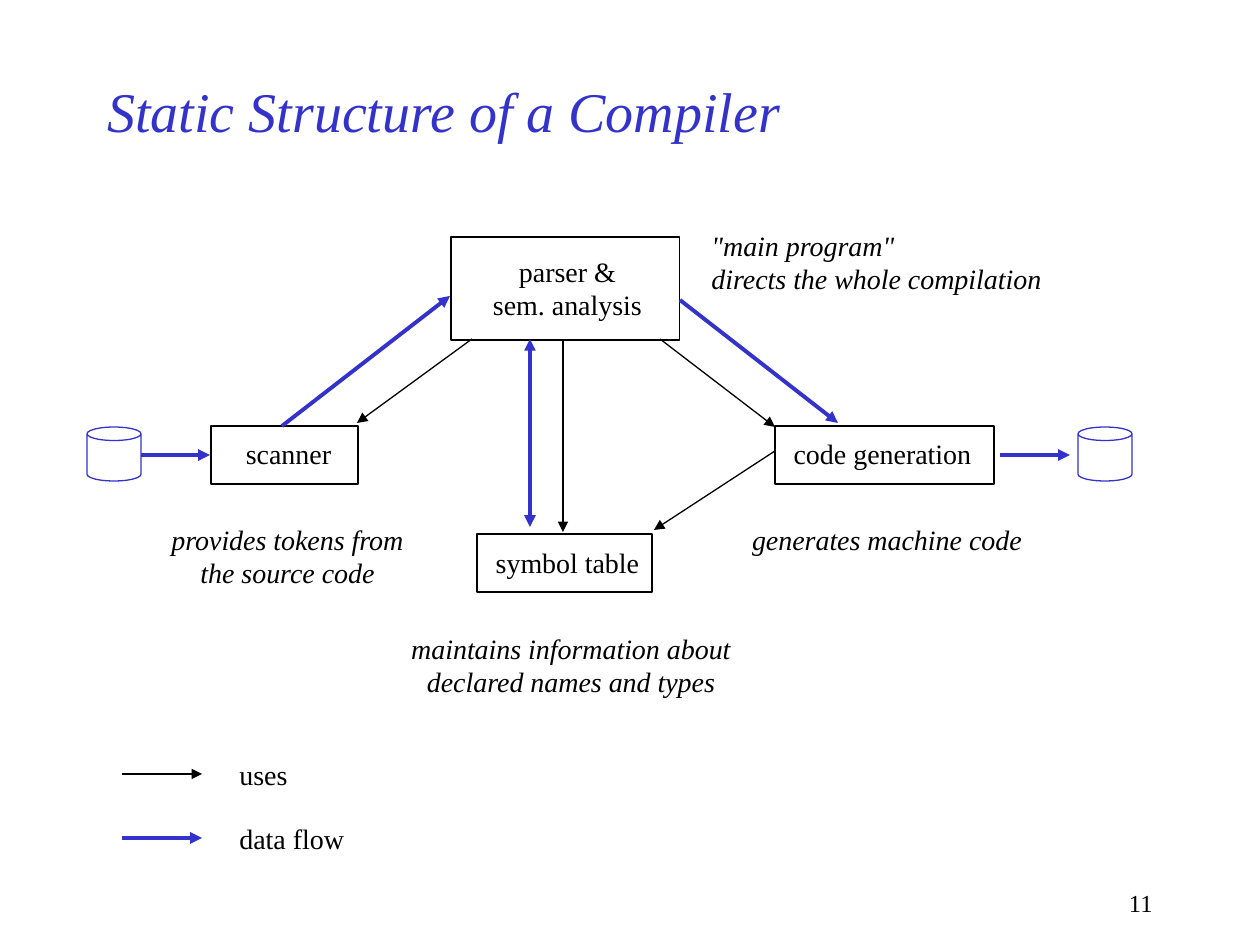
import pptx
import pptx.util
import pptx.dml.color
import pptx.enum.shapes
import pptx.enum.text
import pptx.oxml.ns
from lxml import etree

PX = 914400 // 126
FONT = "Times New Roman"
BLACK, BLUE = "000000", "3333CC"
ALIGN = pptx.enum.text.PP_ALIGN
ANCHOR = pptx.enum.text.MSO_ANCHOR
SHAPE = pptx.enum.shapes.MSO_SHAPE

USES = {"color": BLACK, "width": 0.75}
DATA_FLOW = {"color": BLUE, "width": 2.25}

TITLE = ("Static Structure of a Compiler", (95, 63, 945, 95))
PAGE_NUMBER = ("11", (903, 882, 262, 42))

# label lines, label box, frame
MODULES = [
    (["parser &", "sem. analysis"], (480, 248, 175, 81), (451, 237, 229, 103)),
    (["scanner"], (233, 430, 111, 47), (211, 426, 147, 58)),
    (["symbol table"], (483, 539, 169, 47), (477, 534, 175, 58)),
    (["code generation"], (781, 430, 203, 47), (775, 426, 219, 58)),
]

# lines, box, alignment
REMARKS = [
    (["provides tokens from", "the source code"], (157, 516, 261, 81), ALIGN.CENTER),
    (["maintains information about", "declared names and types"], (398, 625, 346, 81), ALIGN.CENTER),
    (["generates machine code"], (739, 516, 296, 47), ALIGN.CENTER),
    (['"main program"', "directs the whole compilation"], (699, 222, 358, 81), ALIGN.LEFT),
]

FILES = [(87, 427, 54, 54), (1078, 427, 54, 54)]

# start, end, style, arrowheads at both ends
ARROWS = [
    ((563, 339), (563, 532), USES, False),
    ((472, 339), (357, 423), USES, False),
    ((660, 339), (775, 427), USES, False),
    ((775, 451), (654, 530), USES, False),
    ((282, 426), (450, 296), DATA_FLOW, False),
    ((530, 527), (530, 339), DATA_FLOW, True),
    ((141, 455), (210, 455), DATA_FLOW, False),
    ((1000, 455), (1070, 455), DATA_FLOW, False),
    ((680, 300), (838, 423), DATA_FLOW, False),
]

# label, line height, label width, style
LEGEND = [("uses", 774, 73, USES), ("data flow", 838, 130, DATA_FLOW)]


def px(*values):
    return [v * PX for v in values]


def rgb(color):
    return pptx.dml.color.RGBColor.from_string(color)


def add_text(s, lines, box, align=ALIGN.LEFT, size=16, color=BLACK,
             italic=False, wrap=False, anchor=ANCHOR.TOP):
    tf = s.shapes.add_textbox(*px(*box)).text_frame
    tf.word_wrap, tf.vertical_anchor = wrap, anchor
    style = {"name": FONT, "size": pptx.util.Pt(size), "italic": italic}
    for i, line in enumerate(lines):
        p = tf.paragraphs[0] if i == 0 else tf.add_paragraph()
        p.alignment = align
        r = p.add_run()
        r.text = line
        for key, value in style.items():
            setattr(r.font, key, value)
        r.font.color.rgb = rgb(color)


def add_outline(s, kind, box, color):
    sp = s.shapes.add_shape(kind, *px(*box))
    sp.shadow.inherit = False
    sp.fill.background()
    sp.line.color.rgb = rgb(color)
    sp.line.width = pptx.util.Pt(0.75)


def add_arrow(s, start, end, style, both=False):
    cx = s.shapes.add_connector(pptx.enum.shapes.MSO_CONNECTOR.STRAIGHT,
                                *px(*start, *end))
    cx.line.color.rgb = rgb(style["color"])
    cx.line.width = pptx.util.Pt(style["width"])
    ln = cx.line._get_or_add_ln()
    for tag in ["a:headEnd", "a:tailEnd"] if both else ["a:tailEnd"]:
        etree.SubElement(ln, pptx.oxml.ns.qn(tag), type="triangle")
    etree.SubElement(cx._element.spPr, pptx.oxml.ns.qn("a:effectLst"))


def main():
    prs = pptx.Presentation()
    prs.slide_width, prs.slide_height = px(1260, 945)
    s = prs.slides.add_slide(prs.slide_layouts[6])

    text, box = TITLE
    add_text(s, [text], box, size=32, color=BLUE, italic=True, wrap=True,
             anchor=ANCHOR.MIDDLE)
    text, box = PAGE_NUMBER
    add_text(s, [text], box, ALIGN.RIGHT, size=14, wrap=True)

    for lines, label_box, frame in MODULES:
        add_text(s, lines, label_box, ALIGN.CENTER)
        add_outline(s, SHAPE.RECTANGLE, frame, BLACK)
    for lines, box, align in REMARKS:
        add_text(s, lines, box, align, italic=True)
    for box in FILES:
        add_outline(s, SHAPE.CAN, box, BLUE)
    for arrow in ARROWS:
        add_arrow(s, *arrow)
    for label, y, width, style in LEGEND:
        add_arrow(s, (122, y), (202, y), style)
        add_text(s, [label], (227, y - 23, width, 47))

    prs.save("out.pptx")


if __name__ == "__main__":
    main()
